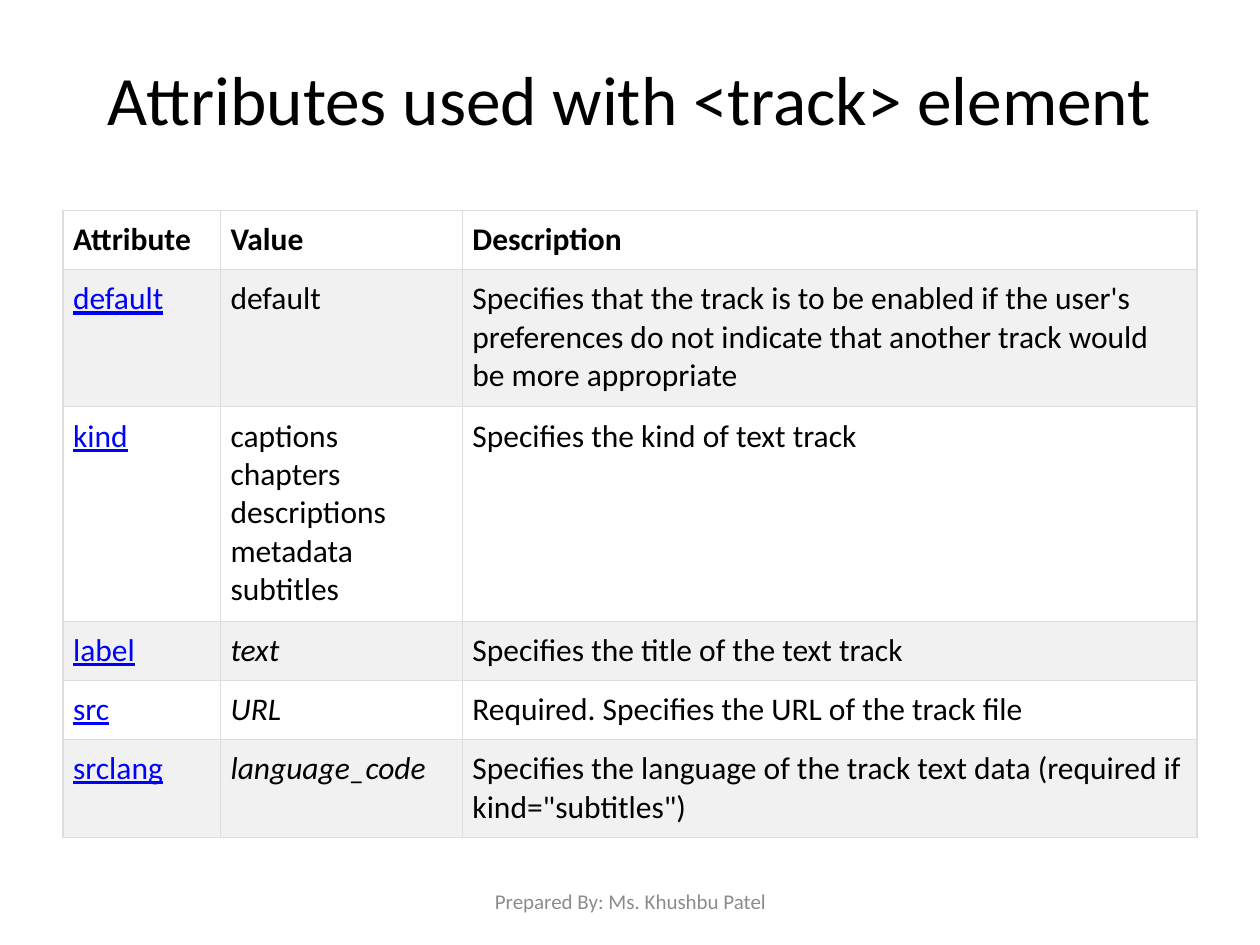
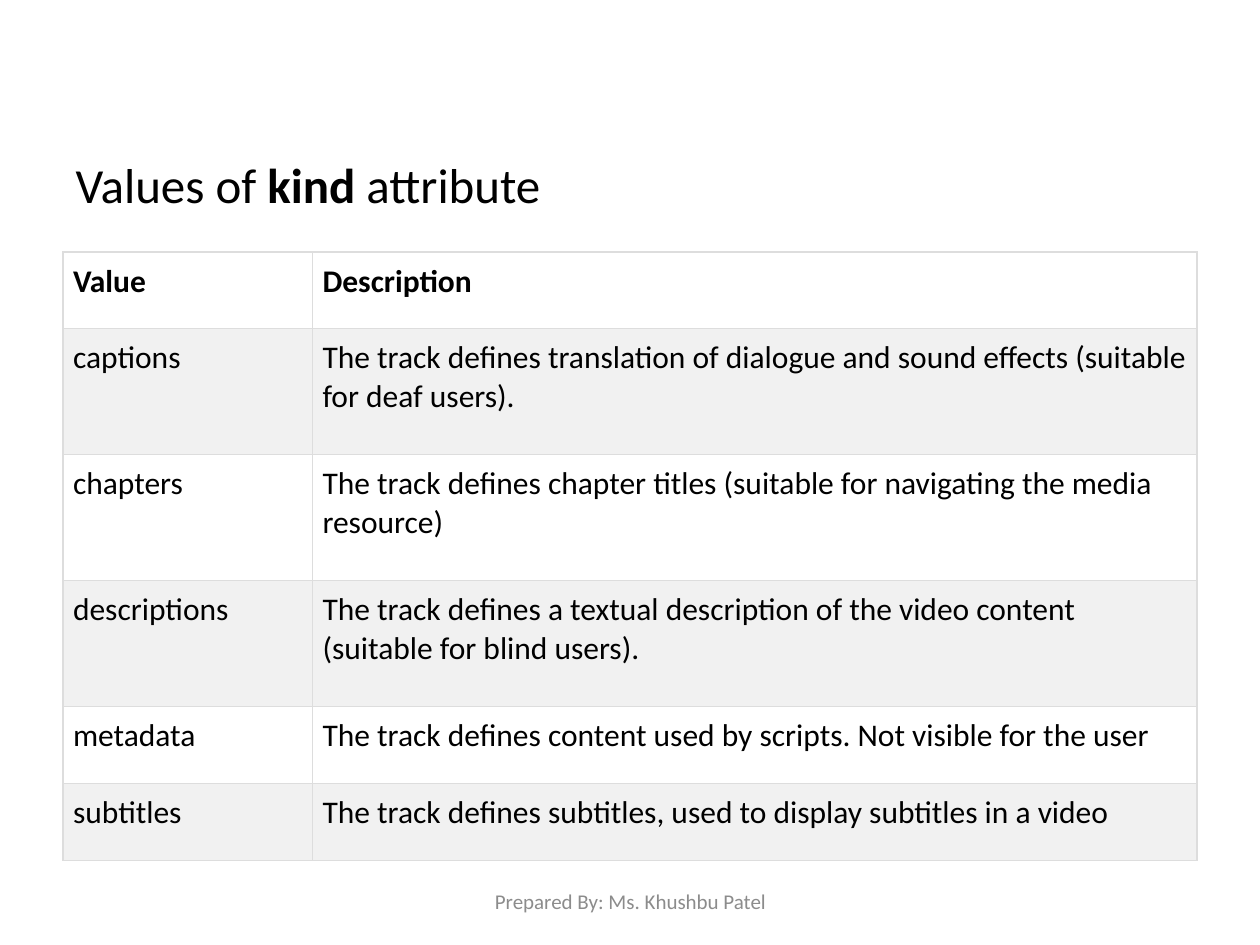
"""Build two slides about the track element and its kind attribute."""
from dataclasses import dataclass

from lxml import etree
from pptx import Presentation
from pptx.dml.color import RGBColor
from pptx.enum.text import MSO_ANCHOR, MSO_AUTO_SIZE, PP_ALIGN
from pptx.oxml.ns import qn
from pptx.util import Inches, Pt

CENTER, LEFT = PP_ALIGN.CENTER, PP_ALIGN.LEFT
TOP, MIDDLE = MSO_ANCHOR.TOP, MSO_ANCHOR.MIDDLE
NO_AUTOFIT = MSO_AUTO_SIZE.NONE

FONT = "Calibri"
COLORS = {
    "text": "000000",
    "link": "0000FF",
    "footer": "8C8C8C",
    "border": "DDDDDD",
    "plain_row": "FFFFFF",
    "shaded_row": "F1F1F1",
}
FOOTER = "Prepared By: Ms. Khushbu Patel"
TITLE_ONLY = 5
TABLE_LEFT = 0.5
CELL_MARGIN = Inches(0.08)
BORDER_WIDTH = Pt(0.75)
BORDER_TAGS = ("a:lnL", "a:lnR", "a:lnT", "a:lnB")


@dataclass(frozen=True)
class TextStyle:
    size: float
    color: str = "text"
    bold: bool = False
    italic: bool = False
    underline: bool = False


@dataclass(frozen=True)
class Title:
    spans: tuple[tuple[str, bool], ...]
    place: tuple[float, float, float, float]
    size: float
    align: PP_ALIGN
    anchor: MSO_ANCHOR


@dataclass(frozen=True)
class TableSpec:
    top: float
    widths: tuple[float, ...]
    heights: tuple[float, ...]
    rows: tuple[tuple[str, ...], ...]
    body_styles: tuple[TextStyle, ...]
    italic_values: tuple[str, ...] = ()


HEADER = TextStyle(18, bold=True)
BODY = TextStyle(18)
ITALIC = TextStyle(18, italic=True)
LINK = TextStyle(18, color="link", underline=True)
FOOTER_STYLE = TextStyle(12, color="footer")

KINDS = (
    ("captions", "The track defines translation of dialogue and sound effects "
                 "(suitable for deaf users)."),
    ("chapters", "The track defines chapter titles (suitable for navigating "
                 "the media resource)"),
    ("descriptions", "The track defines a textual description of the video "
                     "content (suitable for blind users)."),
    ("metadata", "The track defines content used by scripts. Not visible for the user"),
    ("subtitles", "The track defines subtitles, used to display subtitles in a video"),
)

ATTRIBUTES_TITLE = Title(
    (("Attributes used with <track> element", False),),
    (0.5, 0.3, 9, 0.95), 39.6, CENTER, MIDDLE,
)
ATTRIBUTES_TABLE = TableSpec(
    top=1.67,
    widths=(1.25, 1.92, 5.83),
    heights=(0.47, 1.09, 1.7, 0.47, 0.47, 0.78),
    rows=(
        ("Attribute", "Value", "Description"),
        ("default", "default",
         "Specifies that the track is to be enabled if the user's preferences "
         "do not indicate that another track would be more appropriate"),
        ("kind", "\v".join(kind for kind, _ in KINDS),
         "Specifies the kind of text track"),
        ("label", "text", "Specifies the title of the text track"),
        ("src", "URL", "Required. Specifies the URL of the track file"),
        ("srclang", "language_code",
         "Specifies the language of the track text data "
         '(required if kind="subtitles")'),
    ),
    body_styles=(LINK, BODY, BODY),
    italic_values=("text", "URL", "language_code"),
)

KINDS_TITLE = Title(
    (("Values of ", False), ("kind", True), (" attribute", False)),
    (0.5, 1.18, 4.17, 0.57), 28, LEFT, TOP,
)
KINDS_TABLE = TableSpec(
    top=2,
    widths=(1.98, 7.02),
    heights=(0.61, 1, 1, 1, 0.61, 0.61),
    rows=(("Value", "Description"), *KINDS),
    body_styles=(BODY, BODY),
)


def style_paragraph(para, style: TextStyle, align: PP_ALIGN = LEFT) -> None:
    """Apply one text style to a whole paragraph."""
    para.alignment = align
    font = para.font
    font.name, font.size = FONT, Pt(style.size)
    font.bold, font.italic = style.bold, style.italic
    font.underline = style.underline
    font.color.rgb = RGBColor.from_string(COLORS[style.color])


def add_title(page, title: Title) -> None:
    """Move, fill and format the title placeholder."""
    box = page.shapes.title
    box.left, box.top, box.width, box.height = map(Inches, title.place)
    frame = box.text_frame
    frame.word_wrap, frame.auto_size = True, NO_AUTOFIT
    frame.vertical_anchor = title.anchor
    para = frame.paragraphs[0]
    style_paragraph(para, TextStyle(title.size), title.align)
    for text, bold in title.spans:
        span = para.add_run()
        span.text = text
        if bold:
            span.font.bold = True


def add_footer(page) -> None:
    """Add the centred author line at the bottom."""
    box = page.shapes.add_textbox(*map(Inches, (3.42, 6.95, 3.17, 0.4)))
    frame = box.text_frame
    frame.word_wrap, frame.vertical_anchor = True, MIDDLE
    frame.text = FOOTER
    style_paragraph(frame.paragraphs[0], FOOTER_STYLE, CENTER)


def add_borders(cell) -> None:
    """Draw a thin line on each side of a cell."""
    properties = cell._tc.get_or_add_tcPr()
    for position, tag in enumerate(BORDER_TAGS):
        line = etree.Element(qn(tag), w=str(BORDER_WIDTH))
        fill = etree.SubElement(line, qn("a:solidFill"))
        etree.SubElement(fill, qn("a:srgbClr"), val=COLORS["border"])
        properties.insert(position, line)


def format_cell(cell, text: str, style: TextStyle, fill: str) -> None:
    """Write a cell with its text style, margins, fill and borders."""
    cell.text = text
    cell.margin_left = cell.margin_right = CELL_MARGIN
    cell.margin_top = cell.margin_bottom = CELL_MARGIN
    cell.vertical_anchor = TOP
    style_paragraph(cell.text_frame.paragraphs[0], style)
    cell.fill.solid()
    cell.fill.fore_color.rgb = RGBColor.from_string(COLORS[fill])
    add_borders(cell)


def add_striped_table(page, spec: TableSpec) -> None:
    """Add a table with a bold header and alternating row fills."""
    frame = page.shapes.add_table(
        len(spec.rows), len(spec.widths), Inches(TABLE_LEFT), Inches(spec.top),
        Inches(sum(spec.widths)), Inches(sum(spec.heights)),
    )
    table = frame.table
    table.first_row = table.horz_banding = False
    for column, width in zip(table.columns, spec.widths):
        column.width = Inches(width)
    for index, (row, height, texts) in enumerate(
            zip(table.rows, spec.heights, spec.rows)):
        row.height = Inches(height)
        fill = "shaded_row" if index % 2 else "plain_row"
        for cell, text, body_style in zip(row.cells, texts, spec.body_styles):
            style = ITALIC if text in spec.italic_values else body_style
            format_cell(cell, text, style if index else HEADER, fill)


def main() -> None:
    """Build and save the deck."""
    deck = Presentation()
    deck.slide_width, deck.slide_height = Inches(10), Inches(7.5)
    for title, table in ((ATTRIBUTES_TITLE, ATTRIBUTES_TABLE),
                         (KINDS_TITLE, KINDS_TABLE)):
        page = deck.slides.add_slide(deck.slide_layouts[TITLE_ONLY])
        add_title(page, title)
        add_striped_table(page, table)
        add_footer(page)
    deck.save("out.pptx")


if __name__ == "__main__":
    main()
